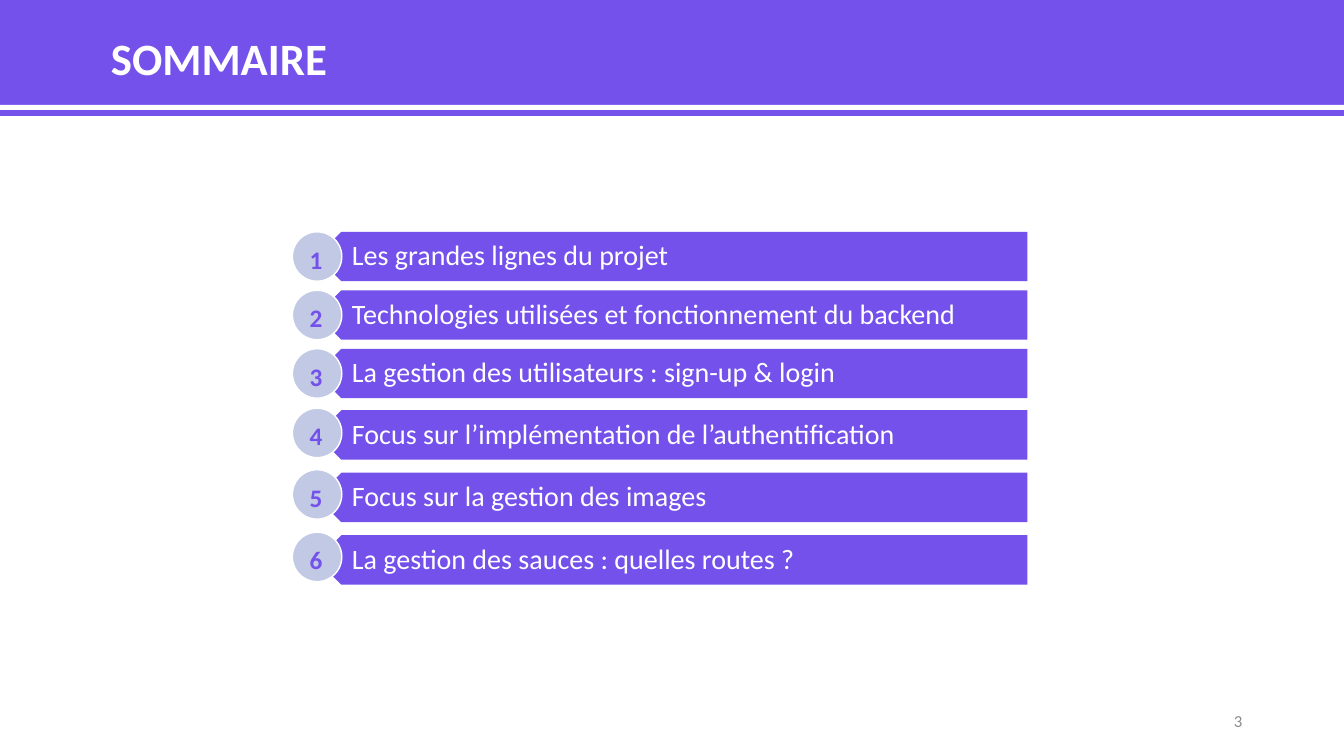
from pptx import Presentation
from pptx.dml.color import RGBColor
from pptx.enum import shapes, text
from pptx.util import Inches, Pt

COLORS = {"violet": "7451EB", "lavender": "C1C9E4", "white": "FFFFFF", "gray": "8C8C8C"}

presentation = Presentation()
presentation.slide_width, presentation.slide_height = Inches(13.33), Inches(7.5)
slide = presentation.slides.add_slide(presentation.slide_layouts[5])


def write(shape, words, size, color, bold=False, align=text.PP_ALIGN.LEFT,
          anchor=text.MSO_ANCHOR.MIDDLE, insets=(0.1, 0.05, 0.1, 0.05), spacing=1.0):
    frame = shape.text_frame
    frame.word_wrap = True
    frame.auto_size = text.MSO_AUTO_SIZE.NONE
    frame.vertical_anchor = anchor
    (frame.margin_left, frame.margin_top,
     frame.margin_right, frame.margin_bottom) = map(Inches, insets)
    paragraph = frame.paragraphs[0]
    paragraph.alignment = align
    paragraph.line_spacing = spacing
    run = paragraph.add_run()
    run.text = words
    run.font.name, run.font.size, run.font.bold = "Calibri", Pt(size), bold
    run.font.color.rgb = RGBColor.from_string(COLORS[color])


def add_filled(kind, box, fill, line=None):
    shape = slide.shapes.add_shape(kind, *map(Inches, box))
    shape.shadow.inherit = False
    shape.fill.solid()
    shape.fill.fore_color.rgb = RGBColor.from_string(COLORS[fill])
    if line:
        shape.line.color.rgb = RGBColor.from_string(COLORS[line])
        shape.line.width = Pt(1)
    else:
        shape.line.fill.background()
    return shape


# Title band with its white stripe
title = slide.shapes.title
title.left, title.top, title.width, title.height = map(Inches, (0, 0, 13.33, 1.15))
title.fill.solid()
title.fill.fore_color.rgb = RGBColor.from_string(COLORS["violet"])
write(title, "SOMMAIRE", 32, "white", bold=True, insets=(1.1, 0.05, 0.1, 0.05))
add_filled(shapes.MSO_SHAPE.RECTANGLE, (0, 1.04, 13.33, 0.05), "white")

# Agenda: wording, top of the bar, top of the numbered badge
agenda = [
    ("Les grandes lignes du projet", 2.3, 2.3),
    ("Technologies utilisées et fonctionnement du backend", 2.88, 2.88),
    ("La gestion des utilisateurs : sign-up & login", 3.46, 3.46),
    ("Focus sur l’implémentation de l’authentification", 4.07, 4.05),
    ("Focus sur la gestion des images", 4.69, 4.66),
    ("La gestion des sauces : quelles routes ?", 5.31, 5.28),
]
row_height = 0.49
for number, (topic, bar_top, badge_top) in enumerate(agenda, start=1):
    bar = add_filled(shapes.MSO_SHAPE.PENTAGON, (3.14, bar_top, 7.05, row_height), "violet")
    bar.rotation = 180
    label = slide.shapes.add_textbox(*map(Inches, (3.27, bar_top, 6.92, row_height)))
    write(label, topic, 20, "white", insets=(0.22, 0.08, 0.16, 0.08), spacing=0.9)
    badge = add_filled(shapes.MSO_SHAPE.OVAL, (2.9, badge_top, row_height, row_height),
                       "lavender", line="white")
    write(badge, str(number), 18, "violet", bold=True, anchor=text.MSO_ANCHOR.TOP)

# Page number
page_number = slide.shapes.add_textbox(*map(Inches, (9.42, 6.95, 3, 0.4)))
write(page_number, "3", 12, "gray", align=text.PP_ALIGN.RIGHT)

presentation.save("out.pptx")
